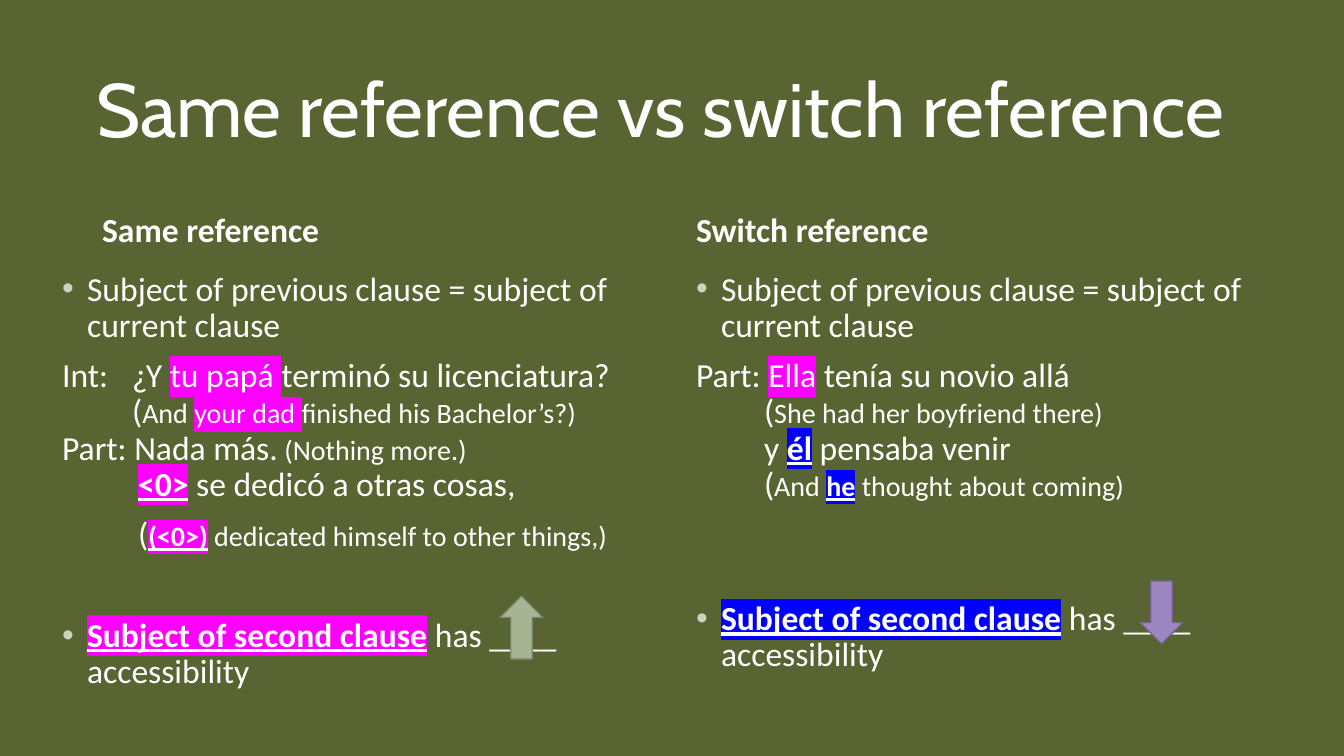
from lxml import etree
from pptx import Presentation
from pptx.dml.color import RGBColor
from pptx.enum.shapes import MSO_SHAPE
from pptx.enum.text import MSO_ANCHOR, MSO_AUTO_SIZE, PP_ALIGN
from pptx.oxml.ns import qn
from pptx.util import Emu, Pt

RECTANGLE = MSO_SHAPE.RECTANGLE
DOWN_ARROW = MSO_SHAPE.DOWN_ARROW
TOP, MIDDLE, BOTTOM = MSO_ANCHOR.TOP, MSO_ANCHOR.MIDDLE, MSO_ANCHOR.BOTTOM
NO_AUTOFIT = MSO_AUTO_SIZE.NONE
LEFT = PP_ALIGN.LEFT

SLIDE_WIDTH, SLIDE_HEIGHT = 1344, 756
EMU_PER_PX = 12192000 / SLIDE_WIDTH
BULLET_INDENT = 25
COMPARISON_LAYOUT = 4
PINK, BLUE = "FF00FF", "0000FF"


def px(length):
    return Emu(round(length * EMU_PER_PX))


def rgb(value):
    return RGBColor.from_string(value)


def plain(text, size=24):
    return text, size, None, False


def small(text):
    return plain(text, 20)


def marked(text, colour, size=24):
    return text, size, colour, False


def strong(text, colour, size=24):
    return text, size, colour, True


def line(*pieces, indent=0, hanging=0, before=0, bullet=False):
    return pieces, indent, hanging, before, bullet


def bullet_line(*pieces, before=10):
    return line(*pieces, indent=BULLET_INDENT, hanging=BULLET_INDENT,
                before=before, bullet=True)


class ReferenceSlide:
    text_colour = "FFFFFF"
    bullet_colour = "C9D3BE"
    title_font = "Cabin"
    body_font = "Calibri"

    def __init__(self, slide):
        self.slide = slide

    def background(self, base, veil, opacity):
        fill = self.slide.background.fill
        fill.solid()
        fill.fore_color.rgb = rgb(base)
        cover = self.shape(RECTANGLE, (0, 0, SLIDE_WIDTH, SLIDE_HEIGHT), veil)
        colour = cover.fill._xPr.find(".//" + qn("a:srgbClr"))
        etree.SubElement(colour, qn("a:alpha"), val=str(opacity * 1000))
        self.slide.shapes._spTree.insert(2, cover._element)

    def shape(self, kind, box, fill, outline=None, rotation=0):
        shape = self.slide.shapes.add_shape(kind, *map(px, box))
        shape.shadow.inherit = False
        shape.rotation = rotation
        shape.fill.solid()
        shape.fill.fore_color.rgb = rgb(fill)
        if outline:
            shape.line.color.rgb = rgb(outline)
            shape.line.width = Pt(0.85)
        else:
            shape.line.fill.background()
        return shape

    def frame(self, index, box, anchor):
        holder = self.slide.placeholders[index]
        holder.left, holder.top, holder.width, holder.height = map(px, box)
        frame = holder.text_frame
        frame.word_wrap = True
        frame.auto_size = NO_AUTOFIT
        frame.vertical_anchor = anchor
        return frame

    def style(self, run, font_name, size, bold=False, highlight=None):
        font = run.font
        font.size = Pt(size)
        font.bold = bold
        font.color.rgb = rgb(self.text_colour)
        if highlight:
            mark = etree.SubElement(run._r.rPr, qn("a:highlight"))
            etree.SubElement(mark, qn("a:srgbClr"), val=highlight)
        font.name = font_name

    def heading(self, index, box, text, size, font_name, anchor, bold=False):
        frame = self.frame(index, box, anchor)
        frame.text = text
        paragraph = frame.paragraphs[0]
        paragraph.alignment = LEFT
        paragraph.line_spacing = 0.9
        self.style(paragraph.runs[0], font_name, size, bold)

    def body(self, index, box, lines):
        frame = self.frame(index, box, TOP)
        for number, (pieces, indent, hanging, before, bullet) in enumerate(lines):
            paragraph = frame.add_paragraph() if number else frame.paragraphs[0]
            paragraph.line_spacing = 0.9
            paragraph.space_before = Pt(before)
            paragraph.space_after = Pt(0)
            self.indent(paragraph, indent, hanging, bullet)
            for text, size, highlight, emphasis in pieces:
                run = paragraph.add_run()
                run.text = text
                self.style(run, self.body_font, size, emphasis, highlight)
                run.font.underline = emphasis

    def indent(self, paragraph, indent, hanging, bullet):
        properties = paragraph._p.get_or_add_pPr()
        properties.set("marL", str(px(indent)))
        properties.set("indent", str(px(-hanging)))
        if bullet:
            colour = etree.SubElement(properties, qn("a:buClr"))
            etree.SubElement(colour, qn("a:srgbClr"), val=self.bullet_colour)
            etree.SubElement(properties, qn("a:buFont"), typeface="Arial")
            etree.SubElement(properties, qn("a:buChar"), char="•")
        else:
            etree.SubElement(properties, qn("a:buNone"))


def main():
    deck = Presentation()
    deck.slide_width, deck.slide_height = px(SLIDE_WIDTH), px(SLIDE_HEIGHT)
    layout = deck.slide_layouts[COMPARISON_LAYOUT]
    page = ReferenceSlide(deck.slides.add_slide(layout))

    page.background("444D26", "5B6733", 90)
    page.heading(0, (86, 40, 1166, 146), "Same reference vs switch reference",
                 54, page.title_font, MIDDLE)

    definition = bullet_line(
        plain("Subject of previous clause = subject of current clause"))
    accessibility = plain(" has ____ accessibility")
    same_reference = [
        definition,
        line(plain("Int:\t¿Y "), marked("tu papá ", PINK),
             plain("terminó su licenciatura?"),
             indent=70, hanging=70, before=10),
        line(plain("("), small("And "), marked("your dad ", PINK, 20),
             small("finished his Bachelor’s?)"), indent=70),
        line(plain("Part: Nada más."), small(" (Nothing more.)")),
        line(strong("<0>", PINK), plain(" se dedicó a otras cosas,"), indent=76),
        line(plain("("), strong("(<0>)", PINK, 20),
             small(" dedicated himself to other things,)"),
             indent=76, before=10),
        bullet_line(strong("Subject of second clause", PINK), accessibility,
                    before=46),
    ]
    switch_reference = [
        definition,
        line(plain("Part: "), marked("Ella", PINK),
             plain(" tenía su novio allá"), before=10),
        line(plain("("), small("She had her boyfriend there)"), indent=68),
        line(plain("y "), strong("él", BLUE), plain(" pensaba venir"), indent=68),
        line(plain("("), small("And "), strong("he", BLUE, 20),
             small(" thought about coming)"), indent=68),
        bullet_line(strong("Subject of second clause", BLUE), accessibility,
                    before=70),
    ]

    columns = [
        (1, "Same reference", (92, 164, 576, 91), (52, 267, 615, 429),
         same_reference),
        (3, "Switch reference", (686, 164, 572, 91), (686, 267, 572, 437),
         switch_reference),
    ]
    for index, title, title_box, body_box, lines in columns:
        page.heading(index, title_box, title, 24, page.body_font, BOTTOM, True)
        page.body(index + 1, body_box, lines)

    page.shape(DOWN_ARROW, (500, 596, 43, 63), "A5B592", "7A866C", 180)
    page.shape(DOWN_ARROW, (1140, 581, 43, 63), "9C85C0", "73628E")
    deck.save("out.pptx")


if __name__ == "__main__":
    main()
